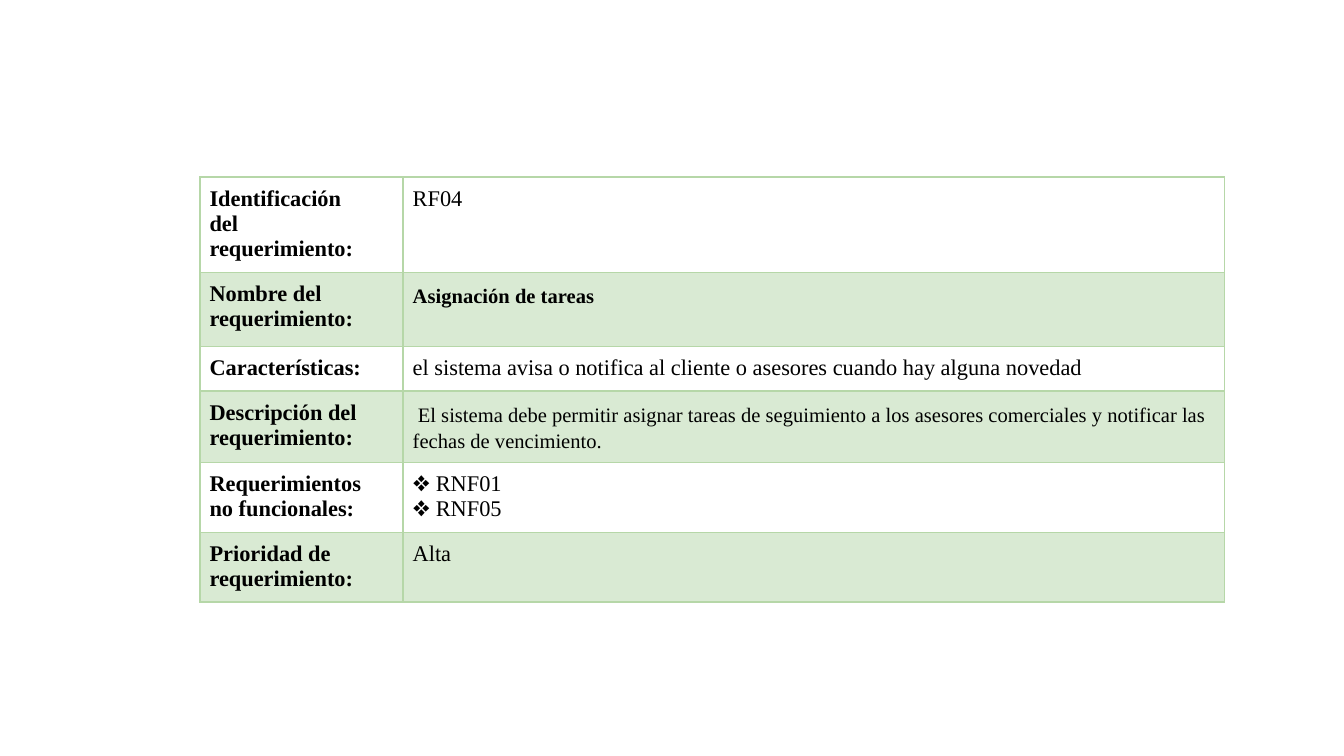
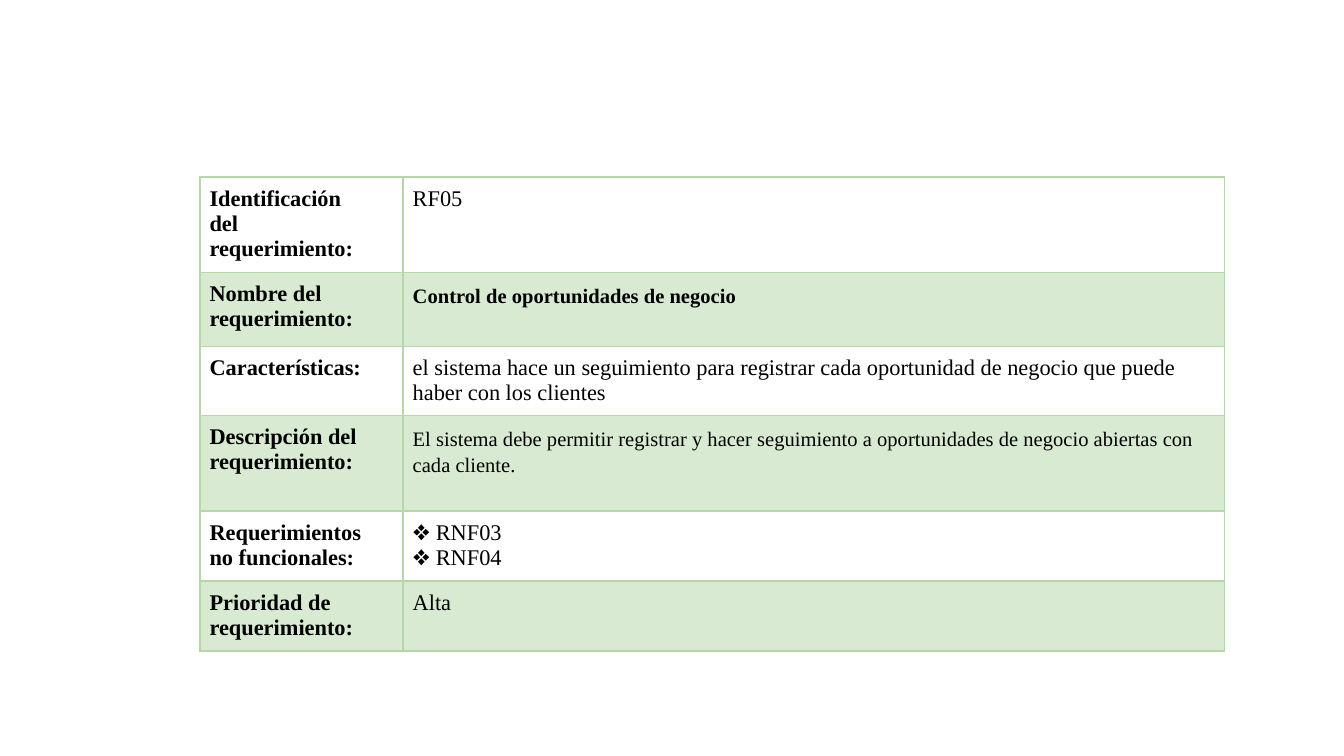
"""Build two requirement sheets, each one a bordered two-column table."""
from dataclasses import dataclass

from lxml import etree
from pptx import Presentation
from pptx.dml.color import RGBColor
from pptx.oxml.ns import qn
from pptx.presentation import Presentation as Deck
from pptx.table import _Cell as Cell
from pptx.util import Cm, Pt

FONT = "Times New Roman"
INK = "000000"
BAND = "D9EAD3"
BORDER = "B6D7A8"
BORDER_WIDTH = Pt(1)
INSET = Cm(0.18)
TABLE_LEFT, TABLE_TOP = Cm(3.78), Cm(3.35)
COLUMN_WIDTHS = (Cm(3.84), Cm(15.52))
LABELS = (
    ("Identificación", "del", "requerimiento:"),
    ("Nombre del", "requerimiento:"),
    ("Características:",),
    ("Descripción del", "requerimiento:"),
    ("Requerimientos", "no funcionales:"),
    ("Prioridad de", "requerimiento:"),
)


@dataclass(frozen=True)
class TextStyle:
    size: int = 12
    bold: bool = False
    line_spacing: float = 1.0
    space_after: int = 0


LABEL = TextStyle(bold=True)
PLAIN = TextStyle()
NAME = TextStyle(size=11, bold=True, line_spacing=1.15, space_after=12)
DESCRIPTION = TextStyle(size=11, line_spacing=1.15, space_after=12)
VALUE_STYLES = (PLAIN, NAME, PLAIN, DESCRIPTION, PLAIN, PLAIN)


@dataclass(frozen=True)
class Requirement:
    code: str
    name: str
    features: str
    description: str
    related: tuple[str, ...]
    priority: str
    description_height: float = 1.32

    def values(self) -> tuple[tuple[str, ...], ...]:
        related = tuple(f"❖ {code}" for code in self.related)
        return ((self.code,), (self.name,), (self.features,),
                (self.description,), related, (self.priority,))

    def row_heights(self) -> tuple[float, ...]:
        return 1.8, 1.4, 0.84, self.description_height, 1.32, 1.32


REQUIREMENTS = (
    Requirement(
        "RF04",
        "Asignación de tareas",
        "el sistema avisa o notifica al cliente o asesores cuando hay alguna novedad",
        " El sistema debe permitir asignar tareas de seguimiento a los asesores "
        "comerciales y notificar las fechas de vencimiento.",
        ("RNF01", "RNF05"),
        "Alta",
    ),
    Requirement(
        "RF05",
        "Control de oportunidades de negocio",
        "el sistema hace un seguimiento para registrar cada oportunidad de negocio "
        "que puede haber con los clientes",
        "El sistema debe permitir registrar y hacer seguimiento a oportunidades de "
        "negocio abiertas con cada cliente.",
        ("RNF03", "RNF04"),
        "Alta",
        description_height=1.81,
    ),
)


def color(value: str) -> RGBColor:
    return RGBColor.from_string(value)


def draw_borders(cell: Cell) -> None:
    properties = cell._tc.get_or_add_tcPr()
    for side in ("a:lnL", "a:lnR", "a:lnT", "a:lnB"):
        line = etree.SubElement(properties, qn(side), w=str(BORDER_WIDTH))
        fill = etree.SubElement(line, qn("a:solidFill"))
        etree.SubElement(fill, qn("a:srgbClr"), val=BORDER)


def write_lines(cell: Cell, lines: tuple[str, ...], style: TextStyle) -> None:
    frame = cell.text_frame
    for index, text in enumerate(lines):
        para = frame.add_paragraph() if index else frame.paragraphs[0]
        para.line_spacing = style.line_spacing
        para.space_after = Pt(style.space_after)
        span = para.add_run()
        span.text = text
        span.font.name = FONT
        span.font.size = Pt(style.size)
        span.font.bold = style.bold
        span.font.color.rgb = color(INK)


def format_cell(cell: Cell, banded: bool) -> None:
    cell.margin_left = cell.margin_right = INSET
    cell.margin_top = cell.margin_bottom = INSET
    draw_borders(cell)
    if banded:
        cell.fill.solid()
        cell.fill.fore_color.rgb = color(BAND)
    else:
        cell.fill.background()


def add_requirement(deck: Deck, requirement: Requirement) -> None:
    page = deck.slides.add_slide(deck.slide_layouts[6])
    heights = [Cm(height) for height in requirement.row_heights()]
    table = page.shapes.add_table(
        len(LABELS), len(COLUMN_WIDTHS), TABLE_LEFT, TABLE_TOP,
        sum(COLUMN_WIDTHS), sum(heights),
    ).table
    table.first_row = table.horz_banding = False
    for column, width in zip(table.columns, COLUMN_WIDTHS):
        column.width = width
    rows = zip(table.rows, heights, LABELS, requirement.values(), VALUE_STYLES)
    for index, (row, height, label, value, style) in enumerate(rows):
        row.height = height
        for cell, lines, text_style in zip(row.cells, (label, value), (LABEL, style)):
            format_cell(cell, banded=index % 2 == 1)
            write_lines(cell, lines, text_style)


def main() -> None:
    deck = Presentation()
    deck.slide_width, deck.slide_height = Cm(25.4), Cm(14.29)
    for requirement in REQUIREMENTS:
        add_requirement(deck, requirement)
    deck.save("out.pptx")


if __name__ == "__main__":
    main()
